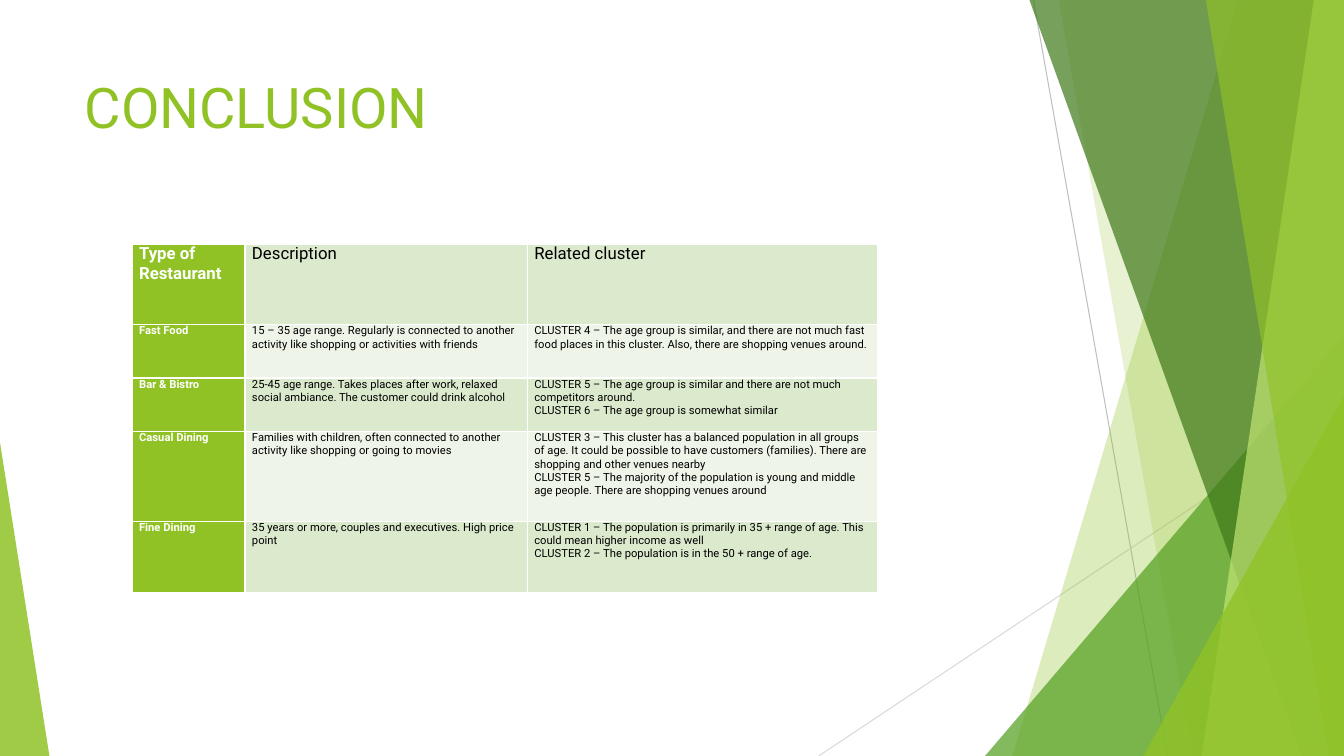
from dataclasses import dataclass

from lxml import etree
from pptx import Presentation
from pptx.dml.color import RGBColor
from pptx.enum.shapes import MSO_CONNECTOR, MSO_SHAPE
from pptx.enum.text import MSO_ANCHOR, MSO_AUTO_SIZE, PP_ALIGN
from pptx.oxml.ns import qn
from pptx.util import Inches, Pt

STRAIGHT = MSO_CONNECTOR.STRAIGHT
TRIANGLE = MSO_SHAPE.ISOSCELES_TRIANGLE
TOP = MSO_ANCHOR.TOP
LEFT = PP_ALIGN.LEFT
NO_AUTOFIT = MSO_AUTO_SIZE.NONE

FONT = "Roboto"
TITLE_ONLY = 5
WIDTH, HEIGHT = 13.33, 7.5
COLORS = {
    "lime": "90C226",
    "green": "54A021",
    "forest": "3F7819",
    "pale": "C0E474",
    "grey": "BFBFBF",
    "silver": "D9D9D9",
    "band_dark": "DBE9CD",
    "band_light": "EEF4E8",
    "white": "FFFFFF",
    "black": "000000",
}


@dataclass
class Ray:
    start: tuple[float, float]
    end: tuple[float, float]
    color: str


@dataclass
class Shard:
    """A full-height panel whose slanted left edge runs from top to bottom."""
    top: float
    bottom: float
    color: str
    opacity: int


@dataclass
class Wedge:
    """A right triangle standing on the slide's bottom edge."""
    left: float
    width: float
    height: float
    apex: float
    color: str
    opacity: int


RAYS = [
    Ray((10.25, 0), (11.58, HEIGHT), "grey"),
    Ray((WIDTH, 4.03), (8.12, HEIGHT), "silver"),
]
PANELS = [
    Shard(12.28, 10.04, "lime", 30),
    Shard(10.5, 11.83, "lime", 20),
    Wedge(9.77, 3.56, 4.17, 1, "green", 72),
    Shard(10.21, 12.91, "forest", 70),
    Shard(13.03, 11.92, "pale", 70),
    Shard(11.96, 13.18, "lime", 65),
    Wedge(11.34, 1.99, 3.57, 1, "lime", 80),
    Wedge(0, 0.49, 3.11, 0, "lime", 85),
]

COLUMN_WIDTHS = [1.12, 2.8, 3.47]
ROW_HEIGHTS = [0.8, 0.53, 0.53, 0.89, 0.71]
# Each cell is a list of paragraphs.
ROWS = [
    [["Type of Restaurant"], ["Description"], ["Related cluster"]],
    [
        ["Fast Food"],
        ["15 – 35 age range. Regularly is connected to another activity like "
         "shopping or activities with friends"],
        ["CLUSTER 4 – The age group is similar, and there are not much fast food "
         "places in this cluster. Also, there are shopping venues around."],
    ],
    [
        ["Bar & Bistro"],
        ["25-45 age range. Takes places after work, relaxed social ambiance. "
         "The customer could drink alcohol"],
        ["CLUSTER 5 – The age group is similar and there are not much "
         "competitors around.",
         "CLUSTER 6 – The age group is somewhat similar"],
    ],
    [
        ["Casual Dining"],
        ["Families with children, often connected to another activity like "
         "shopping or going to movies"],
        ["CLUSTER 3 – This cluster has a balanced population in all groups of age. "
         "It could be possible to have customers (families). There are shopping "
         "and other venues nearby",
         "CLUSTER 5 – The majority of the population is young and middle age "
         "people. There are shopping venues around"],
    ],
    [
        ["Fine Dining"],
        ["35 years or more, couples and executives. High price point"],
        ["CLUSTER 1 – The population is primarily in 35 + range of age. This could "
         "mean higher income as well",
         "CLUSTER 2 – The population is in the 50 + range of age."],
    ],
]


def rgb(name: str) -> RGBColor:
    return RGBColor.from_string(COLORS[name])


def add_span(para, text: str, size: float, color: str, bold: bool = False) -> None:
    span = para.add_run()
    span.text = text
    span.font.name = FONT
    span.font.size = Pt(size)
    span.font.bold = bold
    span.font.color.rgb = rgb(color)


def add_ray(page, ray: Ray) -> None:
    ends = [Inches(value) for value in (*ray.start, *ray.end)]
    line = page.shapes.add_connector(STRAIGHT, *ends)
    line.line.color.rgb = rgb(ray.color)
    line.line.width = Pt(0.75)
    etree.SubElement(line.element.spPr, qn("a:effectLst"))


def add_panel(page, panel: Shard | Wedge) -> None:
    if isinstance(panel, Shard):
        outline = page.shapes.build_freeform(Inches(panel.top), 0)
        corners = [(WIDTH, 0), (WIDTH, HEIGHT), (panel.bottom, HEIGHT)]
        outline.add_line_segments([(Inches(x), Inches(y)) for x, y in corners])
        shape = outline.convert_to_shape()
    else:
        shape = page.shapes.add_shape(
            TRIANGLE, Inches(panel.left), Inches(HEIGHT - panel.height),
            Inches(panel.width), Inches(panel.height))
        shape.adjustments[0] = panel.apex
    shape.shadow.inherit = False
    shape.line.fill.background()
    shape.fill.solid()
    shape.fill.fore_color.rgb = rgb(panel.color)
    color = shape.element.spPr.find(qn("a:solidFill")).find(qn("a:srgbClr"))
    etree.SubElement(color, qn("a:alpha"), val=str(panel.opacity * 1000))


def add_title(page, text: str) -> None:
    title = page.shapes.title
    title.left, title.top = Inches(0.74), Inches(0.67)
    title.width, title.height = Inches(9.4), Inches(1.44)
    frame = title.text_frame
    frame.auto_size = NO_AUTOFIT
    frame.vertical_anchor = TOP
    para = frame.paragraphs[0]
    para.alignment = LEFT
    add_span(para, text, 40, "lime")


def add_borders(cell) -> None:
    properties = cell._tc.get_or_add_tcPr()
    for side in ("lnL", "lnR", "lnT", "lnB"):
        border = etree.SubElement(properties, qn(f"a:{side}"), w=str(Pt(1)))
        fill = etree.SubElement(border, qn("a:solidFill"))
        etree.SubElement(fill, qn("a:srgbClr"), val=COLORS["white"])


def fill_cell(cell, texts: list[str], row: int, column: int) -> None:
    is_label = column == 0
    band = "band_light" if row % 2 else "band_dark"
    add_borders(cell)
    cell.fill.solid()
    cell.fill.fore_color.rgb = rgb("lime" if is_label else band)
    cell.margin_left = cell.margin_right = Inches(0.07)
    cell.margin_top = cell.margin_bottom = 0
    cell.vertical_anchor = TOP
    frame = cell.text_frame
    for index, text in enumerate(texts):
        para = frame.add_paragraph() if index else frame.paragraphs[0]
        add_span(para, text, 8 if row else 12,
                 "white" if is_label else "black", is_label)


def add_restaurant_table(page) -> None:
    table = page.shapes.add_table(
        len(ROWS), len(COLUMN_WIDTHS), Inches(1.31), Inches(2.42),
        Inches(sum(COLUMN_WIDTHS)), Inches(sum(ROW_HEIGHTS))).table
    table.first_row = table.horz_banding = False
    for column, width in zip(table.columns, COLUMN_WIDTHS):
        column.width = Inches(width)
    for row, height in zip(table.rows, ROW_HEIGHTS):
        row.height = Inches(height)
    for row, cells in enumerate(ROWS):
        for column, texts in enumerate(cells):
            fill_cell(table.cell(row, column), texts, row, column)


def main() -> None:
    deck = Presentation()
    deck.slide_width, deck.slide_height = Inches(WIDTH), Inches(HEIGHT)
    page = deck.slides.add_slide(deck.slide_layouts[TITLE_ONLY])
    for ray in RAYS:
        add_ray(page, ray)
    for panel in PANELS:
        add_panel(page, panel)
    add_title(page, "CONCLUSION")
    add_restaurant_table(page)
    deck.save("out.pptx")


if __name__ == "__main__":
    main()
